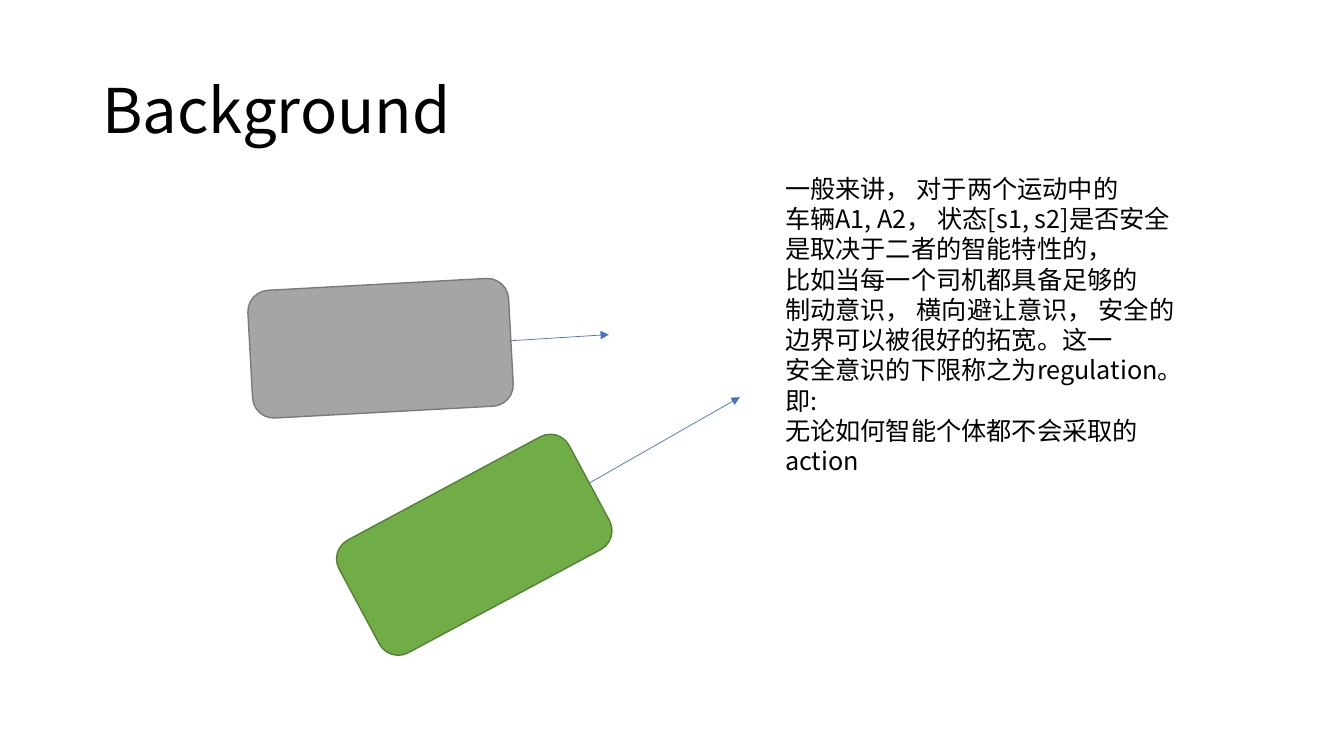
"""Build the Background slide with two moving vehicles and a note on safety."""
from lxml.etree import SubElement
from pptx import Presentation
from pptx.dml.color import RGBColor
from pptx.enum.shapes import MSO_CONNECTOR, MSO_SHAPE
from pptx.enum.text import MSO_ANCHOR
from pptx.oxml.ns import qn
from pptx.util import Pt

FONT = "Noto Sans CJK SC"
COLORS = {
    "text": "000000",
    "green": "70AD47",
    "moss": "538035",
    "gray": "A5A5A5",
    "slate": "7A7A7A",
    "arrow": "4472C4",
}


def color(name):
    return RGBColor.from_string(COLORS[name])


def add_text(left, top, width, height, lines, size, anchor, spacing):
    box = slide.shapes.add_textbox(Pt(left), Pt(top), Pt(width), Pt(height))
    frame = box.text_frame
    frame.word_wrap = True
    frame.vertical_anchor = anchor
    frame.text = "\n".join(lines)
    for line in frame.paragraphs:
        line.line_spacing = spacing
        font = line.font
        font.size = Pt(size)
        font.name = FONT
        font.color.rgb = color("text")
        SubElement(font._element, qn("a:ea"), typeface=FONT)


deck = Presentation()
deck.slide_width, deck.slide_height = Pt(960), Pt(540)
slide = deck.slides.add_slide(deck.slide_layouts[6])

add_text(66, 28.8, 828, 104.4, ["Background"], 44, MSO_ANCHOR.MIDDLE, 0.9)

cars = [
    (245.5, 343.4, 151.8, "green", "moss"),
    (178.6, 203, 176.9, "gray", "slate"),
]
for left, top, angle, fill, edge in cars:
    car = slide.shapes.add_shape(
        MSO_SHAPE.ROUNDED_RECTANGLE, Pt(left), Pt(top), Pt(186.5), Pt(91.4))
    car.rotation = angle
    car.shadow.inherit = False
    car.fill.solid()
    car.fill.fore_color.rgb = color(fill)
    car.line.color.rgb = color(edge)
    car.line.width = Pt(1)

arrows = [(421.2, 344.9, 528.5, 283.7), (365, 243.4, 434.9, 239)]
for ends in arrows:
    arrow = slide.shapes.add_connector(
        MSO_CONNECTOR.STRAIGHT, *[Pt(end) for end in ends])
    arrow.line.color.rgb = color("arrow")
    arrow.line.width = Pt(0.5)
    SubElement(arrow.line._get_or_add_ln(), qn("a:tailEnd"), type="triangle")
    SubElement(arrow._element.spPr, qn("a:effectLst"))

note = [
    "一般来讲， 对于两个运动中的",
    "车辆A1, A2， 状态[s1, s2]是否安全",
    "是取决于二者的智能特性的，",
    "比如当每一个司机都具备足够的",
    "制动意识， 横向避让意识， 安全的",
    "边界可以被很好的拓宽。这一",
    "安全意识的下限称之为regulation。",
    "即:",
    "无论如何智能个体都不会采取的action",
]
add_text(553.7, 120.2, 316.8, 203.8, note, 18, MSO_ANCHOR.TOP, 1.0)

deck.save("out.pptx")
